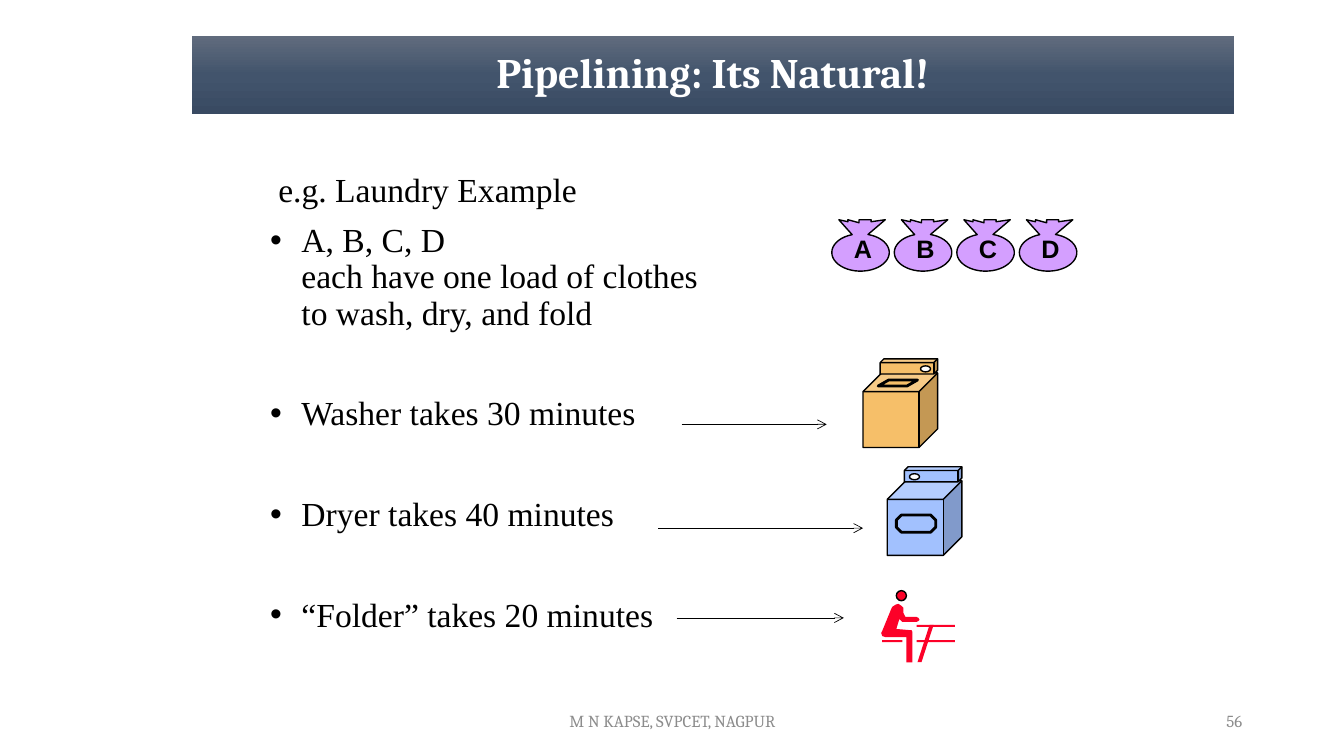
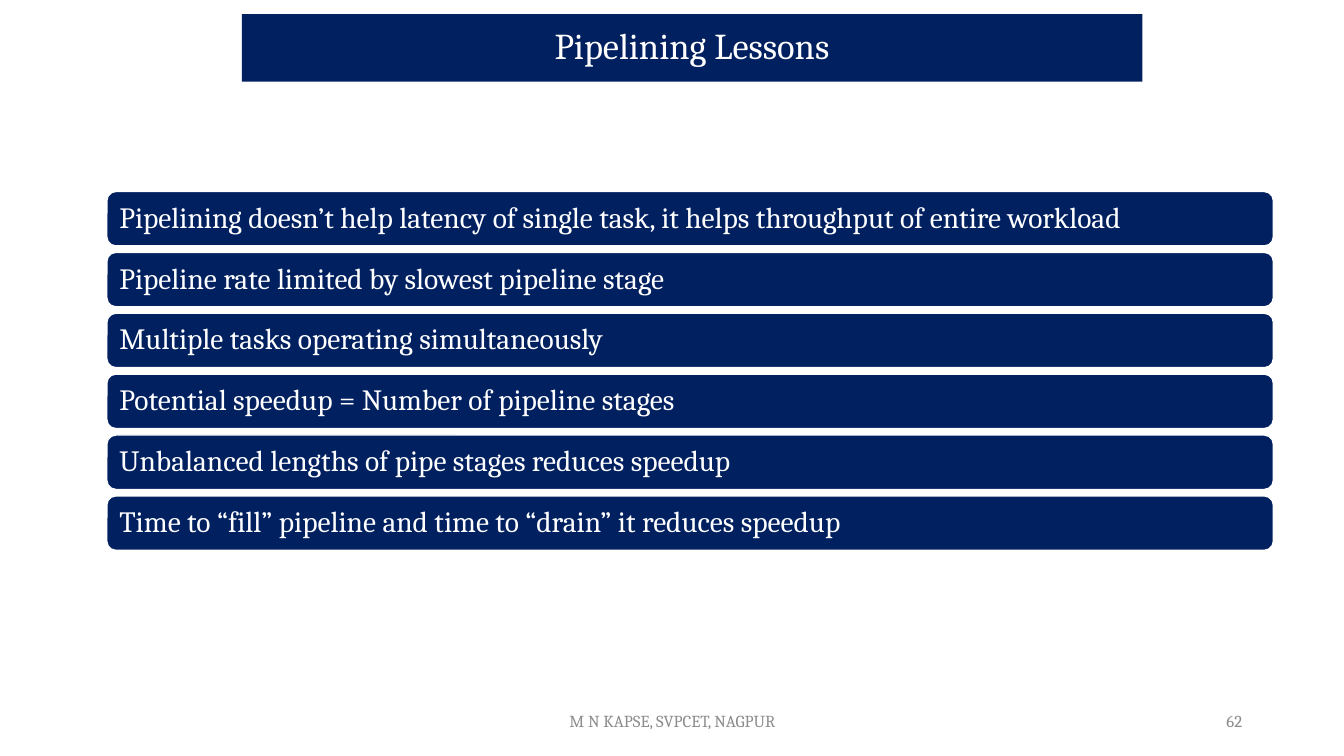
from copy import deepcopy
from dataclasses import dataclass
from math import cos, radians, sin

from lxml.etree import SubElement
from pptx import Presentation
from pptx.dml.color import RGBColor
from pptx.enum.shapes import MSO_CONNECTOR, MSO_SHAPE
from pptx.enum.text import MSO_ANCHOR, MSO_AUTO_SIZE, PP_ALIGN
from pptx.oxml.ns import qn
from pptx.util import Inches, Pt


@dataclass(frozen=True)
class Theme:
    serif: str = "Cambria"
    body: str = "Times New Roman"
    sans: str = "Arial"
    black: str = "000000"
    white: str = "FFFFFF"
    gray: str = "8C8C8C"
    navy: str = "002060"
    slate: tuple = ("606B7D", "42546C", "394A62")
    orange: str = "F6BF69"
    blue: str = "A2C1FE"
    red: str = "FC0128"
    violet: str = "D49FFF"
    head: int = 30
    subhead: int = 26
    list: int = 24
    row: int = 21
    label: int = 18
    foot: int = 12


T = Theme()


def write(shape, *lines, font=T.serif, size=T.foot, color=T.white, bold=False,
          align=PP_ALIGN.LEFT, anchor=MSO_ANCHOR.MIDDLE, inset=0.1,
          spacing=1, gaps=(), hangs=(), wrap=True):
    """Fill a shape with paragraphs; gaps are points before each one, and
    hangs are (left margin, bullet or None) pairs in inches."""
    frame = shape.text_frame
    frame.auto_size = MSO_AUTO_SIZE.NONE
    frame.word_wrap = wrap
    frame.vertical_anchor = anchor
    frame.margin_left = frame.margin_right = Inches(inset)
    frame.margin_top = frame.margin_bottom = Inches(0.05)
    for i, line in enumerate(lines):
        para = frame.add_paragraph() if i else frame.paragraphs[0]
        para.text = line
        if hangs:
            left, mark = hangs[i]
            props = para._p.get_or_add_pPr()
            props.set("marL", str(Inches(left)))
            props.set("indent", str(-Inches(left) if mark else 0))
            if mark:
                SubElement(props, qn("a:buFont"), typeface=T.sans)
                SubElement(props, qn("a:buChar"), char=mark)
            else:
                SubElement(props, qn("a:buNone"))
        para.alignment = align
        para.line_spacing = spacing
        para.space_before = Pt(gaps[i] if gaps else 0)
        for run in para.runs:
            run.font.name = font
            run.font.size = Pt(size)
            run.font.bold = bold
            run.font.color.rgb = RGBColor.from_string(color)
        for brk in para._p.findall(qn("a:br")):
            SubElement(brk, qn("a:rPr"), sz=str(size * 100))


def paint(shape, fill, line=None, width=1):
    """Set fill (one colour, or a tuple of stops from top to bottom) and line."""
    shape.shadow.inherit = False
    if isinstance(fill, tuple):
        shape.fill.gradient()
        shape.fill.gradient_angle = 270
        stops = shape._element.find(".//" + qn("a:gsLst"))
        stops.insert(1, deepcopy(stops[0]))
        for i, stop in enumerate(shape.fill.gradient_stops):
            stop.color.rgb = RGBColor.from_string(fill[i])
            stop.position = i / 2
    else:
        shape.fill.solid()
        shape.fill.fore_color.rgb = RGBColor.from_string(fill)
    if line:
        shape.line.color.rgb = RGBColor.from_string(line)
        shape.line.width = Pt(width)
    else:
        shape.line.fill.background()
    return shape


deck = Presentation()
deck.slide_width, deck.slide_height = Inches(13.33), Inches(7.5)

# Title bars and footers
heads = [
    (1, "Pipelining: Its Natural!", (1.9, 0.36, 10.34, 0.77), T.slate, T.head, True, "56"),
    (5, "Pipelining Lessons", (2.4, 0.14, 8.93, 0.67), T.navy, T.subhead, False, "62"),
]
for layout, name, box, fill, size, bold, number in heads:
    slide = deck.slides.add_slide(deck.slide_layouts[layout])
    title = slide.shapes.title
    title.left, title.top, title.width, title.height = map(Inches, box)
    shape = SubElement(title._element.spPr, qn("a:prstGeom"), prst="roundRect")
    SubElement(shape, qn("a:avLst"))
    paint(title, fill)
    write(title, name, size=size, bold=bold, align=PP_ALIGN.CENTER, spacing=0.9)
    for label, left, width, align in (
        ("M N KAPSE, SVPCET, NAGPUR", 4.42, 4.5, PP_ALIGN.CENTER),
        (number, 9.42, 3, PP_ALIGN.RIGHT),
    ):
        foot = slide.shapes.add_textbox(*map(Inches, (left, 6.95, width, 0.4)))
        write(foot, label, color=T.gray, align=align)

# Laundry example
slide = deck.slides[0]
shapes = slide.shapes
body = slide.placeholders[1]
body.left, body.top, body.width, body.height = map(Inches, (2.58, 1.67, 5.36, 4.84))
write(body,
      "e.g. Laundry Example",
      "A, B, C, D\veach have one load of clothes\vto wash, dry, and fold",
      "Washer takes 30 minutes",
      "Dryer takes 40 minutes",
      "“Folder” takes 20 minutes",
      font=T.body, size=T.list, color=T.black, anchor=MSO_ANCHOR.TOP,
      spacing=0.9, gaps=(0, 10, 46, 46, 46),
      hangs=[(0.08, None)] + [(0.31, "•")] * 4)

# Washer and dryer: body corner, colour, knob shift, hatch
machines = [
    (8.56, 3.7, T.orange, 0.57, MSO_SHAPE.PARALLELOGRAM, 1.75, (0.15, 0.07, 0.39, 0.06)),
    (8.8, 4.77, T.blue, 0.22, MSO_SHAPE.OCTAGON, 0.29, (0.09, 0.34, 0.39, 0.17)),
]
for x, y, color, knob, kind, bend, hatch in machines:
    parts = [
        (MSO_SHAPE.CUBE, (0, 0, 0.74, 0.74), color, 1),
        (MSO_SHAPE.CUBE, (0.17, -0.14, 0.57, 0.15), color, 1),
        (MSO_SHAPE.OVAL, (knob, -0.07, 0.1, 0.06), T.white, 1),
        (kind, hatch, color, 2),
    ]
    for form, (dx, dy, w, h), fill, width in parts:
        part = shapes.add_shape(form, *map(Inches, (x + dx, y + dy, w, h)))
        paint(part, fill, T.black, width)
    part.adjustments[0] = bend

# Person folding at a table
leg = [(9.22, 6.2), (9.26, 6.2), (9.14, 6.57), (9.1, 6.57)]
person = [
    (8.84, 6.04), (8.75, 6.26), (8.74, 6.28), (8.75, 6.31), (8.78, 6.32),
    (8.99, 6.32), (8.99, 6.57), (9.05, 6.57), (9.05, 6.27), (9.04, 6.25),
    (9.01, 6.25), (8.89, 6.24), (8.92, 6.14), (8.95, 6.17), (9.09, 6.17),
    (9.11, 6.16), (9.12, 6.15), (9.11, 6.13), (9.09, 6.12), (8.98, 6.12),
    (8.96, 6.08), (8.96, 6.03), (8.94, 6.01), (8.91, 5.99), (8.88, 6),
    (8.85, 6.02),
]
for x, y, w in ((9.09, 6.2, 0.38), (9.09, 6.35, 0.38), (8.75, 6.35, 0.2)):
    board = shapes.add_shape(MSO_SHAPE.RECTANGLE, *map(Inches, (x, y, w, 0.02)))
    paint(board, T.red)
face = shapes.add_shape(MSO_SHAPE.OVAL, *map(Inches, (8.89, 5.86, 0.1, 0.1)))
paint(face, T.red, T.black)
outlines = [(leg, T.red, None), (person, T.red, None)]

# Laundry bags: a tied top and a round sack
tie = [(0.07, 0), (0.16, 0.02), (0.16, 0), (0.27, 0.03), (0.27, 0),
       (0.39, 0), (0.39, 0.02), (0.53, 0)]
sack = [(0.285 + 0.285 * cos(radians(a)), 0.325 + 0.185 * sin(radians(a)))
        for a in range(-75, 254, 8)]
bags = [(letter, 8.25 + 0.62 * i) for i, letter in enumerate("ABCD")]
for letter, left in bags:
    bag = [(left + x, 2.18 + y) for x, y in tie + sack]
    outlines.append((bag, T.violet, T.black))

for points, fill, line in outlines:
    first, *rest = [(Inches(x), Inches(y)) for x, y in points]
    pen = shapes.build_freeform(*first)
    pen.add_line_segments(rest, close=True)
    paint(pen.convert_to_shape(), fill, line)

for letter, left in bags:
    tag = shapes.add_textbox(*map(Inches, (left + 0.12, 2.27, 0.38, 0.4)))
    write(tag, letter, font=T.sans, size=T.label, color=T.black, bold=True,
          align=PP_ALIGN.CENTER, anchor=MSO_ANCHOR.TOP, wrap=False)

for start, end, y in ((6.76, 8.2, 4.21), (6.53, 8.56, 5.24), (6.71, 8.37, 6.13)):
    arrow = shapes.add_connector(MSO_CONNECTOR.STRAIGHT, *map(Inches, (start, y, end, y)))
    arrow.line.color.rgb = RGBColor.from_string(T.black)
    arrow.line.width = Pt(0.5)
    SubElement(arrow.line._get_or_add_ln(), qn("a:tailEnd"), type="arrow")
    SubElement(arrow._element.spPr, qn("a:effectLst"))

# Lessons
lessons = [
    "Pipelining doesn’t help latency of single task, it helps throughput of entire workload",
    "Pipeline rate limited by slowest pipeline stage",
    "Multiple tasks operating simultaneously",
    "Potential speedup = Number of pipeline stages",
    "Unbalanced lengths of pipe stages reduces speedup",
    "Time to “fill” pipeline and time to “drain” it reduces speedup",
]
pitch = (4.92 - 1.9) / (len(lessons) - 1)
for i, lesson in enumerate(lessons):
    row = deck.slides[1].shapes.add_shape(
        MSO_SHAPE.ROUNDED_RECTANGLE, *map(Inches, (1.06, 1.9 + pitch * i, 11.57, 0.54)))
    paint(row, T.navy, T.white)
    write(row, lesson, size=T.row, spacing=0.9, inset=0.1)

deck.save("out.pptx")
